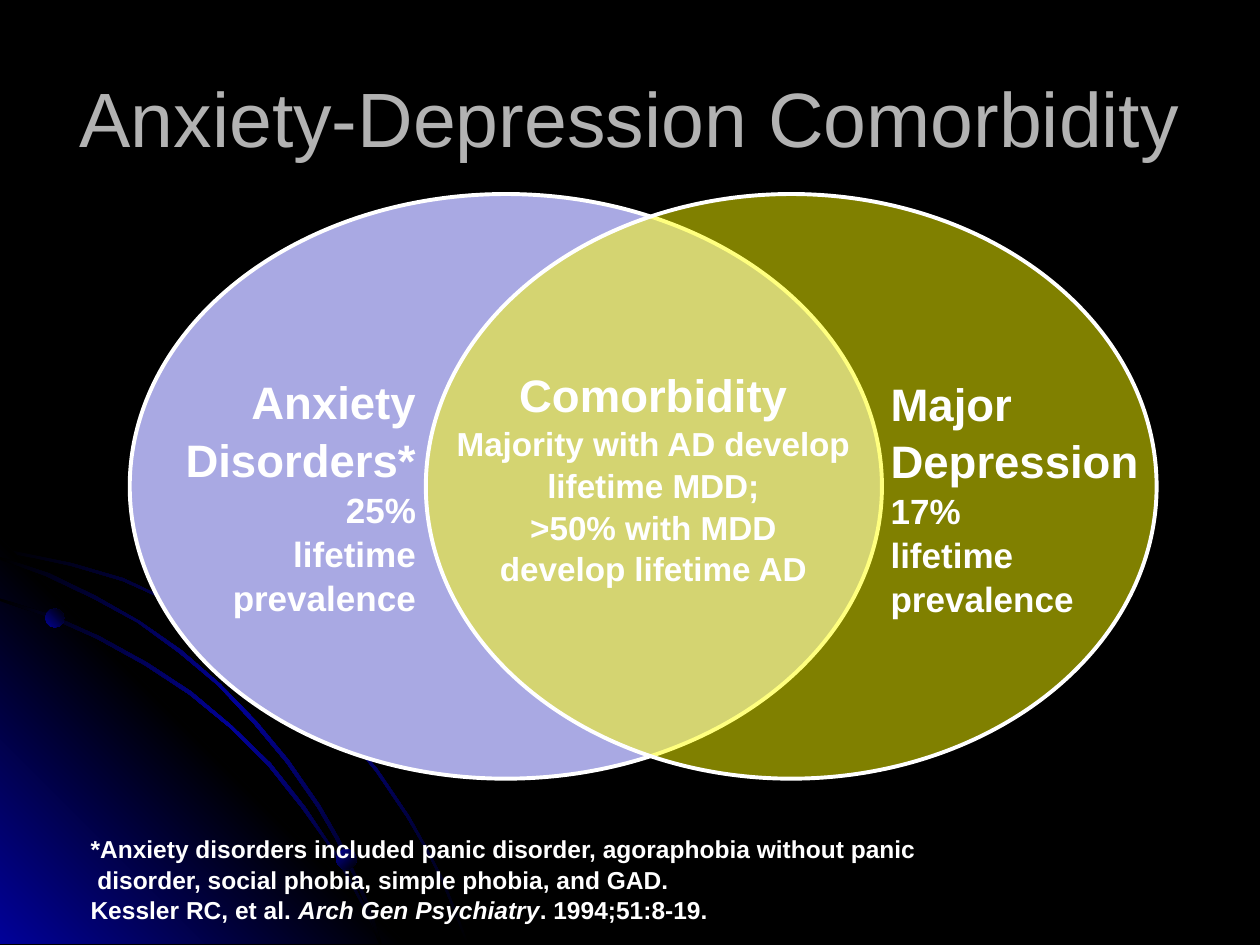
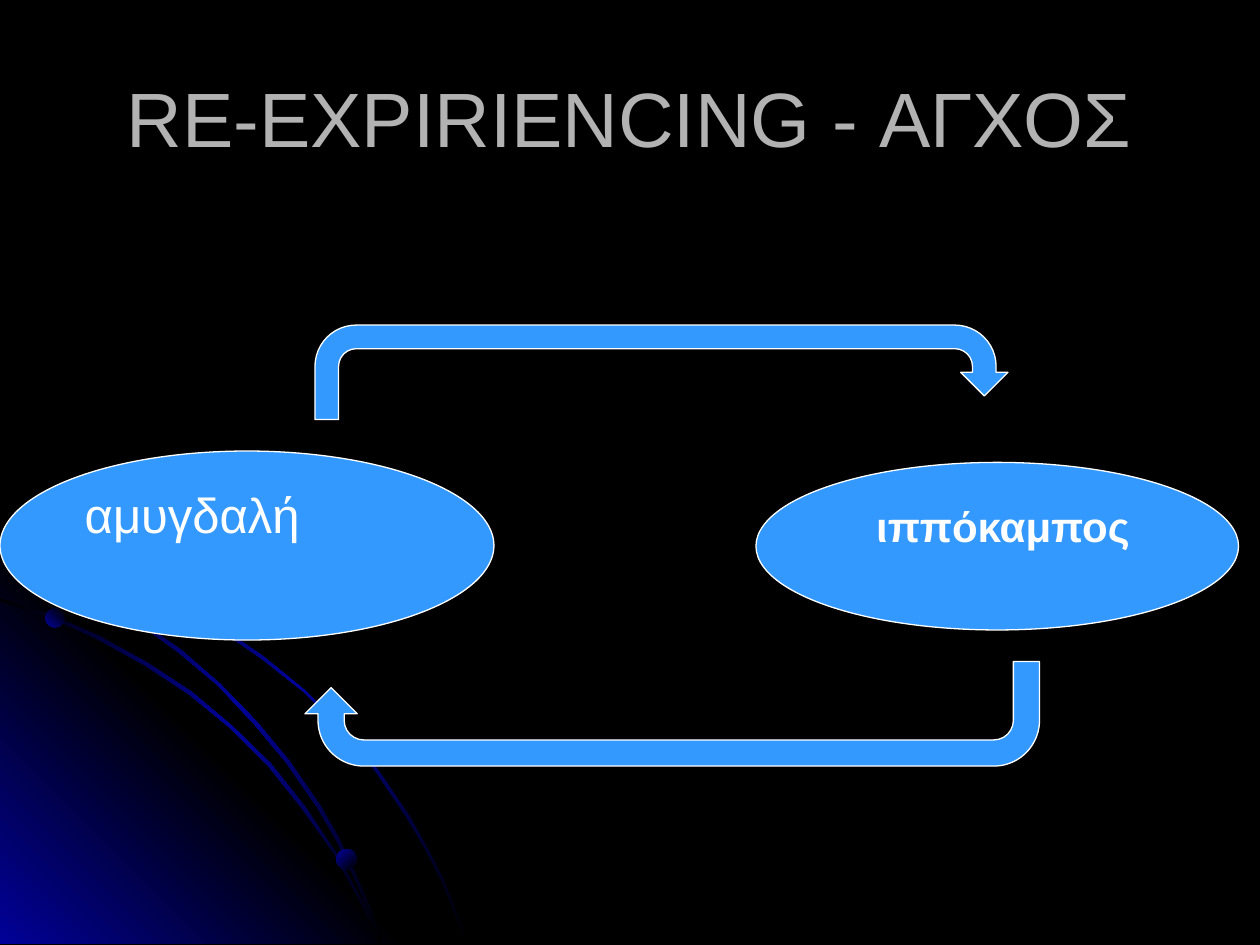
from collections import namedtuple
from lxml import etree
from pptx import Presentation
from pptx.dml.color import RGBColor
from pptx.enum.shapes import MSO_SHAPE as Shape
from pptx.enum.text import MSO_ANCHOR as Anchor, PP_ALIGN as Align
from pptx.oxml import parse_xml
from pptx.oxml.ns import nsdecls, qn
from pptx.util import Inches, Pt

# The slide is a grid of 100 columns by 75 rows of square cells
COLUMNS, ROWS = 100, 75
CELL = Inches(0.1)
POINTS_PER_CELL = 10

FONT = "Arial"
WHITE, GREY, BLACK = "FFFFFF", "B2B2B2", "000000"
NAVY, SKY, LILAC, YELLOW = "010199", "3399FF", "A9A9E3", "FFFF00"
GLOW = [(0, BLACK), (50, NAVY), (100, BLACK)]
CORNER = [(0, NAVY), (50, BLACK), (100, NAVY)]
BALL = [(0, NAVY), (100, BLACK)]

# Outlines of the backdrop, in tenths of a cell
WIDE_ARC = [
    (57, 447), (28, 441), (0, 435), (0, 438), (28, 443), (56, 449), (97, 461),
    (135, 478), (173, 499), (208, 523), (241, 549), (271, 579), (298, 612),
    (323, 649), (337, 673), (350, 698), (360, 723), (370, 749), (372, 749),
    (362, 723), (352, 698), (339, 673), (325, 648), (300, 611), (272, 578),
    (242, 548), (209, 521), (174, 497), (136, 477), (98, 459)]
CORNER_TRIANGLE = [(322, 749), (0, 749), (0, 427)]
LOW_ARC = [
    (285, 714), (294, 732), (301, 749), (303, 749), (296, 730), (286, 712),
    (266, 676), (242, 640), (215, 606), (184, 576), (152, 549), (117, 526),
    (79, 505), (41, 488), (0, 475), (0, 477), (39, 490), (77, 507), (115, 528),
    (150, 551), (183, 578), (213, 608), (240, 642), (265, 677)]
MIDDLE_ARC = [
    (0, 442), (0, 444), (36, 457), (74, 475), (109, 494), (142, 518),
    (173, 544), (202, 575), (227, 605), (252, 641), (267, 667), (280, 694),
    (292, 722), (301, 749), (303, 749), (294, 720), (282, 693), (269, 665),
    (254, 639), (229, 603), (204, 573), (175, 543), (144, 516), (111, 493),
    (76, 473), (39, 455)]


class Box(namedtuple("Box", "column row columns rows")):
    def inner(self, column, row, columns, rows):
        """A box given in cells from this box's corner."""
        return Box(self.column + column, self.row + row, columns, rows)

    def lengths(self):
        return [round(cells * CELL) for cells in self]


def color(value):
    return RGBColor.from_string(value)


def fill_gradient(shape, stops, angle):
    marks = "".join(f'<a:gs pos="{share * 1000}"><a:srgbClr val="{value}"/></a:gs>'
                    for share, value in stops)
    gradient = parse_xml(f'<a:gradFill {nsdecls("a")} rotWithShape="1">'
                         f'<a:gsLst>{marks}</a:gsLst>'
                         f'<a:lin ang="{angle * 60000}" scaled="0"/></a:gradFill>')
    geometry = shape._element.spPr.find(qn("a:custGeom"))
    if geometry is None:
        geometry = shape._element.spPr.find(qn("a:prstGeom"))
    geometry.addnext(gradient)
    shape.line.fill.background()
    shape.shadow.inherit = False


def add_solid(page, kind, box, fill, line_width, opacity=100):
    shape = page.shapes.add_shape(kind, *box.lengths())
    shape.shadow.inherit = False
    shape.fill.solid()
    shape.fill.fore_color.rgb = color(fill)
    shape.line.color.rgb = color(WHITE)
    shape.line.width = Pt(line_width)
    if opacity < 100:
        tone = shape._element.spPr.find(qn("a:solidFill"))[0]
        etree.SubElement(tone, qn("a:alpha")).set("val", str(opacity * 1000))
    return shape


def format_runs(para, size, bold=False, value=WHITE):
    for span in para.runs:
        font = span.font
        font.name, font.size, font.bold = FONT, Pt(size), bold
        font.color.rgb = color(value)


def write(frame, blocks, align=Align.LEFT, anchor=Anchor.TOP, bold=True, spacing=None):
    """Fill a frame with one paragraph for each (text, size)."""
    frame.word_wrap = True
    frame.vertical_anchor = anchor
    for index, (text, size) in enumerate(blocks):
        para = frame.add_paragraph() if index else frame.paragraphs[0]
        para.text = text
        para.alignment = align
        para.line_spacing = spacing
        format_runs(para, size, bold)


def add_text(page, box, blocks, **style):
    frame = page.shapes.add_textbox(*box.lengths()).text_frame
    write(frame, blocks, **style)
    return frame


def add_backdrop(deck, page):
    """Draw the glowing corner and move it to the slide master."""
    master = deck.slide_master
    master.background.fill.solid()
    master.background.fill.fore_color.rgb = color(BLACK)
    pieces = []

    # Arcs and corner
    for outline, stops, angle in [(WIDE_ARC, GLOW, 45), (CORNER_TRIANGLE, CORNER, 315),
                                  (LOW_ARC, GLOW, 45), (MIDDLE_ARC, GLOW, 45)]:
        builder = page.shapes.build_freeform(*outline[0], scale=CELL / POINTS_PER_CELL)
        builder.add_line_segments(outline[1:], close=True)
        shape = builder.convert_to_shape()
        fill_gradient(shape, stops, angle)
        pieces.append(shape)

    # Balls on the arcs
    for column, row, size, angle in [(3.6, 48.3, 1.5, 315), (26.7, 67.4, 1.6, 45),
                                     (13.7, 47.3, 2.1, 315)]:
        box = Box(column, row, size, size)
        shape = page.shapes.add_shape(Shape.OVAL, *box.lengths())
        fill_gradient(shape, BALL, angle)
        pieces.append(shape)

    tree = master.shapes._spTree
    for position, shape in enumerate(pieces, start=2):
        tree.insert(position, shape._element)


def add_title(page, text, box):
    title = page.shapes.title
    title.left, title.top, title.width, title.height = box.lengths()
    frame = title.text_frame
    frame.text = text
    frame.vertical_anchor = Anchor.MIDDLE
    para = frame.paragraphs[0]
    para.alignment = Align.CENTER
    format_runs(para, 44, value=GREY)


def add_venn(page, box):
    # Overlapping circles
    add_solid(page, Shape.OVAL, box.inner(0, 0, 59.7, box.rows), LILAC, 2.25)
    add_solid(page, Shape.OVAL, box.inner(23.5, 0, 58, box.rows), YELLOW, 2.25, opacity=50)

    # Labels
    prevalence = "lifetime\nprevalence"
    labels = [
        (box.inner(24.8, 13.4, 33.5, 18), Align.CENTER,
         [("Comorbidity", 26), ("Majority with AD develop lifetime MDD;", 19),
          (">50% with MDD", 19), ("develop lifetime AD", 19)]),
        (box.inner(-1.6, 14.1, 25.3, 19.6), Align.RIGHT,
         [("Anxiety\nDisorders*", 26), (f"25%\n{prevalence}", 20)]),
        (box.inner(59.4, 14.2, 27.4, 19.6), Align.LEFT,
         [("Major\nDepression", 26), (f"17%\n{prevalence}", 20)]),
    ]
    for place, align, blocks in labels:
        add_text(page, place, blocks, align=align, anchor=Anchor.MIDDLE, spacing=1.05)


def add_footnote(page, box):
    note = ("*Anxiety disorders included panic disorder, agoraphobia without panic\n"
            " disorder, social phobia, simple phobia, and GAD.")
    frame = add_text(page, box, [(note, 14), ("Kessler RC, et al. ", 14)],
                     anchor=Anchor.BOTTOM, spacing=1.05)
    citation = frame.paragraphs[1]
    for text in ("Arch Gen Psychiatry", ". 1994;51:8-19."):
        citation.add_run().text = text
    format_runs(citation, 14, bold=True)
    citation.runs[1].font.italic = True


def add_cycle(page, box):
    # Two brain regions
    amygdala = add_solid(page, Shape.OVAL, box.inner(0, 10, 39.2, 15), SKY, 0.75)
    write(amygdala.text_frame, [("αμυγδαλή", 28)], bold=False)
    add_solid(page, Shape.OVAL, box.inner(60, 10.9, 38.3, 13.3), SKY, 0.75)
    add_text(page, box.inner(66.7, 13.4, 25.8, 5), [("ιππόκαμπος", 24)],
             align=Align.CENTER)

    # Arrows there and back
    for place, turn in [(box.inner(25, 0, 55, 7.5), 0),
                        (box.inner(24.2, 26.7, 58.3, 8.3), 180)]:
        arrow = add_solid(page, Shape.U_TURN_ARROW, place, SKY, 0.75)
        arrow.rotation = turn


def main():
    deck = Presentation()
    deck.slide_width, deck.slide_height = COLUMNS * CELL, ROWS * CELL
    title_only = deck.slide_layouts[5]
    title_box = Box(5, 3, 90, 12.5)

    comorbidity = deck.slides.add_slide(title_only)
    add_backdrop(deck, comorbidity)
    add_title(comorbidity, "Anxiety-Depression Comorbidity", title_box)
    add_venn(comorbidity, Box(10.3, 15.4, 81.5, 46.4))
    add_footnote(comorbidity, Box(6.2, 65.9, 92.2, 8))

    cycle = deck.slides.add_slide(title_only)
    add_title(cycle, "RE-EXPIRIENCING - ΑΓΧΟΣ", title_box)
    add_cycle(cycle, Box(0, 25.8, 98.3, 35))

    deck.save("out.pptx")


if __name__ == "__main__":
    main()
